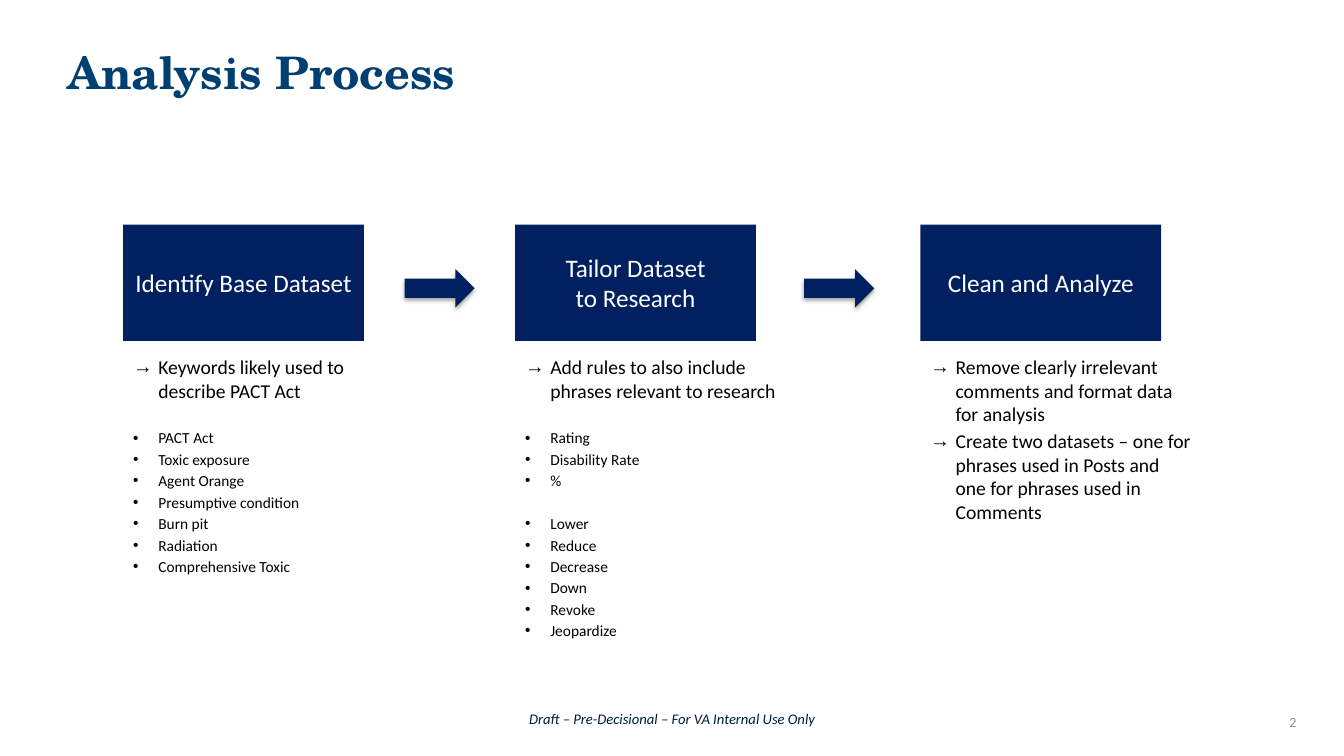
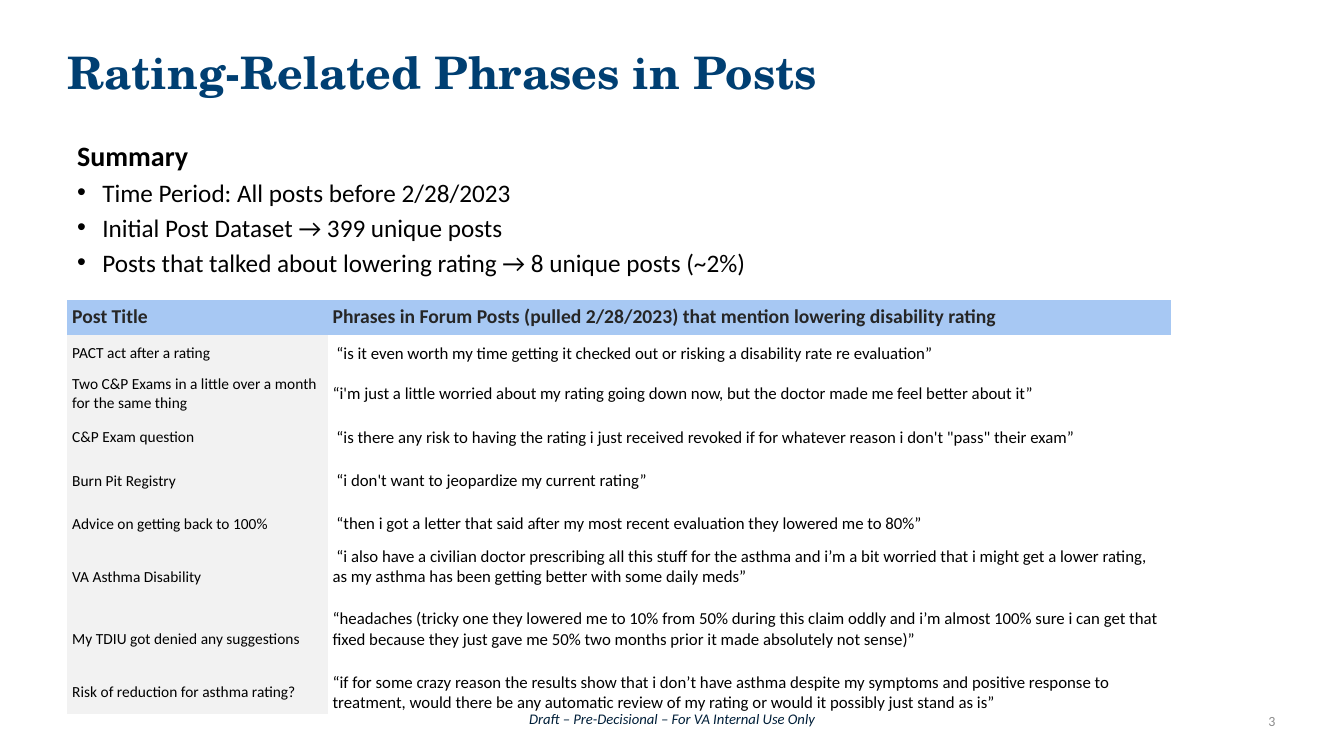
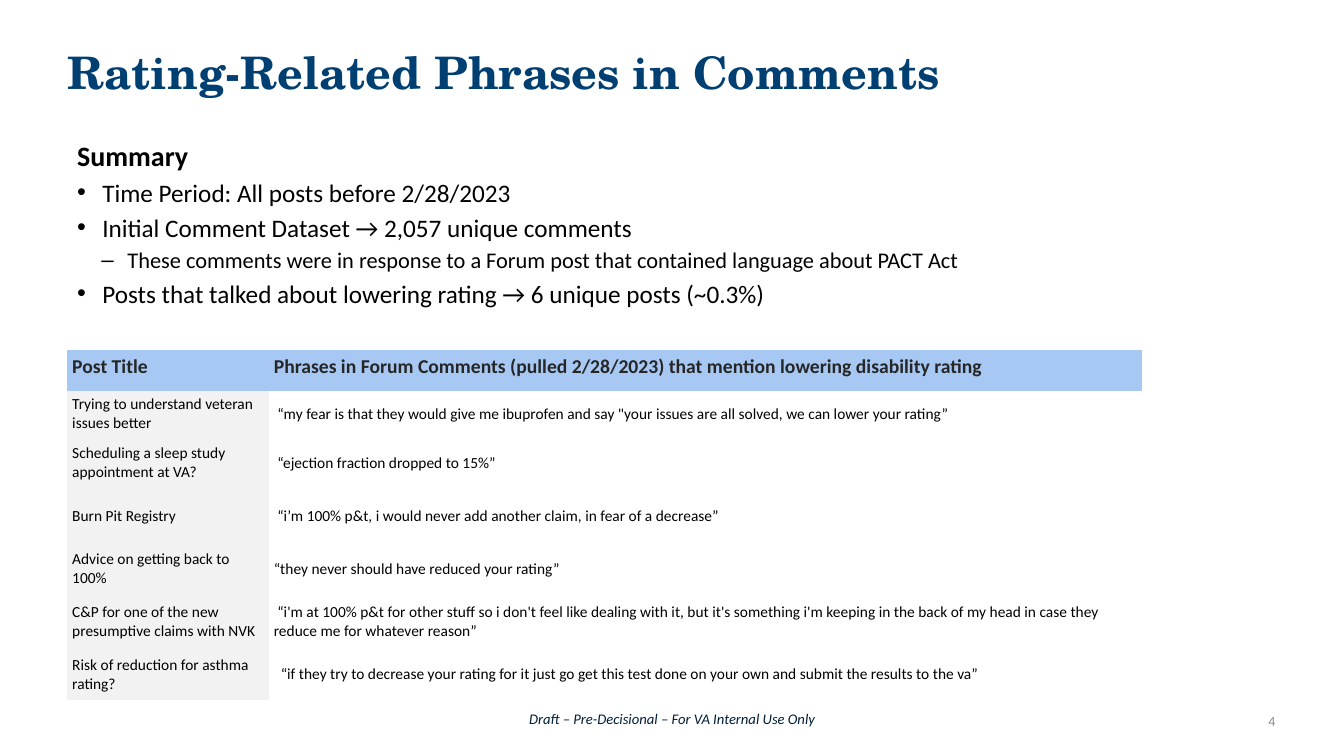
from dataclasses import dataclass

from lxml.etree import SubElement
from pptx import Presentation
from pptx.dml.color import RGBColor
from pptx.enum.shapes import MSO_SHAPE
from pptx.enum.text import MSO_ANCHOR, MSO_AUTO_SIZE, PP_ALIGN
from pptx.oxml.ns import qn
from pptx.util import Pt

COLORS = {
    "title": "003F72",
    "footer": "001F39",
    "number": "8C8C8C",
    "navy": "002060",
    "white": "FFFFFF",
    "black": "000000",
    "heading": "262626",
    "heading_fill": "A7C8F3",
    "label_fill": "F2F2F2",
}
BODY_FONT = "Calibri"
TITLE_FONT = "TeX Gyre Schola"
GAP_RATIO = 0.19
SPACE_RATIO = 0.226
MARGIN_LEFT = 48
CONTENT_WIDTH = 864
STEP_TOP, STEP_WIDTH, STEP_HEIGHT = 160.5, 172, 83
LIST_TOP, LIST_WIDTH = 250, 201


@dataclass(frozen=True)
class Box:
    left: float
    top: float
    width: float
    height: float

    def lengths(self) -> tuple:
        return Pt(self.left), Pt(self.top), Pt(self.width), Pt(self.height)


@dataclass(frozen=True)
class Style:
    size: float
    color: str = "black"
    bold: bool = False
    italic: bool = False
    font: str = BODY_FONT


@dataclass(frozen=True)
class Item:
    text: str
    size: float
    bullet: str = ""
    left: float = 18
    hanging: float = 18
    before: float | None = None
    bold: bool = False


@dataclass(frozen=True)
class Step:
    left: float
    lines: list[str]
    items: list[Item]
    list_height: float = 238


@dataclass(frozen=True)
class Quote:
    title: str
    text: str
    height: float
    lead: int = 0
    space_below: float = 0


@dataclass(frozen=True)
class QuoteTable:
    top: float
    columns: tuple[float, float]
    heading: str
    heading_height: float
    quote_size: float
    quotes: list[Quote]


def color(name: str) -> RGBColor:
    return RGBColor.from_string(COLORS[name])


def add_run(paragraph, text: str, style: Style) -> None:
    run = paragraph.add_run()
    run.text = text
    run.font.name = style.font
    run.font.size = Pt(style.size)
    run.font.bold = style.bold
    run.font.italic = style.italic
    run.font.color.rgb = color(style.color)


def set_margins(target, left: float, top: float, right: float, bottom: float) -> None:
    target.margin_left, target.margin_top = Pt(left), Pt(top)
    target.margin_right, target.margin_bottom = Pt(right), Pt(bottom)


def add_label(slide, box: Box, text: str, style: Style, alignment: PP_ALIGN, margin: float) -> None:
    frame = slide.shapes.add_textbox(*box.lengths()).text_frame
    frame.word_wrap = True
    frame.vertical_anchor = MSO_ANCHOR.MIDDLE
    set_margins(frame, margin, margin, margin, margin)
    frame.paragraphs[0].alignment = alignment
    add_run(frame.paragraphs[0], text, style)


def add_titled_slide(presentation, title: str, number: str, number_box: Box):
    slide = presentation.slides.add_slide(presentation.slide_layouts[5])
    shape = slide.shapes.title
    shape.left, shape.top, shape.width, shape.height = Box(MARGIN_LEFT, 10, CONTENT_WIDTH, 64).lengths()
    frame = shape.text_frame
    frame.auto_size = MSO_AUTO_SIZE.NONE
    frame.word_wrap = True
    frame.vertical_anchor = MSO_ANCHOR.BOTTOM
    set_margins(frame, 0, 3.6, 0, 3.6)
    frame.paragraphs[0].alignment = PP_ALIGN.LEFT
    add_run(frame.paragraphs[0], title, Style(32, "title", bold=True, font=TITLE_FONT))
    add_label(slide, Box(278.6, 502.6, 403.2, 20.9), "Draft – Pre-Decisional – For VA Internal Use Only",
              Style(10.5, "footer", italic=True), PP_ALIGN.CENTER, 4.3)
    add_label(slide, number_box, number, Style(10, "number"), PP_ALIGN.RIGHT, 0)
    return slide


def set_bullet(paragraph, item: Item) -> None:
    properties = paragraph._p.get_or_add_pPr()
    properties.set("marL", str(Pt(item.left)))
    properties.set("indent", str(-Pt(item.hanging)))
    SubElement(properties, qn("a:buFont")).set("typeface", "Arial")
    SubElement(properties, qn("a:buChar")).set("char", item.bullet)


def add_list(slide, box: Box, items: list[Item]) -> None:
    frame = slide.shapes.add_textbox(*box.lengths()).text_frame
    frame.word_wrap = True
    for index, item in enumerate(items):
        paragraph = frame.add_paragraph() if index else frame.paragraphs[0]
        if item.bullet:
            set_bullet(paragraph, item)
        if index:
            paragraph.space_before = Pt(round(item.size * GAP_RATIO, 1) if item.before is None else item.before)
        add_run(paragraph, item.text, Style(item.size, bold=item.bold))


def add_navy_shape(slide, kind: MSO_SHAPE, box: Box):
    shape = slide.shapes.add_shape(kind, *box.lengths())
    shape.shadow.inherit = False
    shape.fill.solid()
    shape.fill.fore_color.rgb = color("navy")
    shape.line.fill.background()
    return shape


def add_step(slide, step: Step) -> None:
    shape = add_navy_shape(slide, MSO_SHAPE.RECTANGLE, Box(step.left, STEP_TOP, STEP_WIDTH, STEP_HEIGHT))
    frame = shape.text_frame
    frame.word_wrap = True
    frame.vertical_anchor = MSO_ANCHOR.MIDDLE
    for index, line in enumerate(step.lines):
        paragraph = frame.add_paragraph() if index else frame.paragraphs[0]
        paragraph.alignment = PP_ALIGN.CENTER
        add_run(paragraph, line, Style(18, "white"))
    add_list(slide, Box(step.left, LIST_TOP, LIST_WIDTH, step.list_height), step.items)


def add_step_arrow(slide, left: float) -> None:
    arrow = add_navy_shape(slide, MSO_SHAPE.RIGHT_ARROW, Box(left, 192.2, 50, 27.5))
    effects = arrow.element.spPr.find(qn("a:effectLst"))
    shadow = SubElement(effects, qn("a:outerShdw"), blurRad=str(Pt(3.1)), dist=str(Pt(1.8)),
                        dir="5400000", rotWithShape="0")
    shade = SubElement(shadow, qn("a:srgbClr"), val=COLORS["black"])
    SubElement(shade, qn("a:alpha"), val="35000")


def fill_cell(cell, text: str, style: Style, fill: str):
    cell.fill.solid()
    cell.fill.fore_color.rgb = color(fill)
    paragraph = cell.text_frame.paragraphs[0]
    add_run(paragraph, text, style)
    return paragraph


def add_quote_table(slide, content: QuoteTable) -> None:
    heights = [content.heading_height] + [quote.height for quote in content.quotes]
    box = Box(MARGIN_LEFT, content.top, sum(content.columns), sum(heights))
    graphic_frame = slide.shapes.add_table(len(heights), 2, *box.lengths())
    table = graphic_frame.table
    table.first_row = table.horz_banding = False
    for style_id in graphic_frame.element.iter(qn("a:tableStyleId")):
        style_id.text = "{2D5ABB26-0587-4C30-8999-92F81FD0307C}"
    for column, width in zip(table.columns, content.columns):
        column.width = Pt(width)
    for row, height in zip(table.rows, heights):
        row.height = Pt(height)
    for cell, text in zip(table.rows[0].cells, ("Post Title", content.heading)):
        set_margins(cell, 3.6, 3.6, 3.6, 3.6)
        fill_cell(cell, text, Style(14, "heading", bold=True), "heading_fill")
    for row_index, quote in enumerate(content.quotes, start=1):
        title_cell, quote_cell = table.rows[row_index].cells
        for cell, below in ((title_cell, 0), (quote_cell, quote.space_below)):
            set_margins(cell, 3.6, 0.72, 3.6, below)
            cell.vertical_anchor = MSO_ANCHOR.MIDDLE
        fill_cell(title_cell, quote.title, Style(11), "label_fill")
        paragraph = fill_cell(quote_cell, quote.text, Style(content.quote_size), "white")
        if quote.lead:
            properties = paragraph._p.get_or_add_pPr()
            properties.set("marL", "0")
            properties.set("indent", str(Pt(quote.lead * SPACE_RATIO * content.quote_size)))


def arrow_item(text: str) -> Item:
    return Item(text, 14, "→")


def keyword_items(words: list[str], before: float) -> list[Item]:
    return [Item(word, 11, "•", before=None if index else before) for index, word in enumerate(words)]


def summary_item(text: str) -> Item:
    return Item(text, 18, "•")


SUMMARY_START = [Item("Summary", 20, bold=True), summary_item("Time Period: All posts before 2/28/2023")]

STEPS = [
    Step(88, ["Identify Base Dataset"], [
        arrow_item("Keywords likely used to describe PACT Act"),
        *keyword_items(["PACT Act", "Toxic exposure", "Agent Orange", "Presumptive condition",
                        "Burn pit", "Radiation", "Comprehensive Toxic"], 19),
    ]),
    Step(368, ["Tailor Dataset", "to Research"], [
        arrow_item("Add rules to also include phrases relevant to research"),
        *keyword_items(["Rating", "Disability Rate", "%"], 19),
        *keyword_items(["Lower", "Reduce", "Decrease", "Down", "Revoke", "Jeopardize"], 17.4),
    ]),
    Step(657.5, ["Clean and Analyze"], [
        arrow_item("Remove clearly irrelevant comments and format data for analysis"),
        arrow_item("Create two datasets – one for phrases used in Posts and one for phrases used in Comments"),
    ], 124.5),
]

POST_SUMMARY = SUMMARY_START + [
    summary_item("Initial Post Dataset → 399 unique posts"),
    summary_item("Posts that talked about lowering rating → 8 unique posts (~2%)"),
]
POST_TABLE = QuoteTable(
    214.5, (186, 602.6),
    "Phrases in Forum Posts (pulled 2/28/2023) that mention lowering disability rating", 24.5, 12,
    [
        Quote("PACT act after a rating",
              "“is it even worth my time getting it checked out or risking a disability rate re evaluation”",
              26.6, 1),
        Quote("Two C&P Exams in a little over a month for the same thing",
              "“i'm just a little worried about my rating going down now, but the doctor made me feel better "
              "about it”", 31),
        Quote("C&P Exam question",
              "“is there any risk to having the rating i just received revoked if for whatever reason "
              "i don't \"pass\" their exam”", 31, 1),
        Quote("Burn Pit Registry", "“i don't want to jeopardize my current rating”", 31, 1),
        Quote("Advice on getting back to 100%",
              "“then i got a letter that said after my most recent evaluation they lowered me to 80%”", 31, 1),
        Quote("VA Asthma Disability",
              "“i also have a civilian doctor prescribing all this stuff for the asthma and i’m a bit worried "
              "that i might get a lower rating, as my asthma has been getting better with some daily meds”",
              44.7, 1, 14.6),
        Quote("My TDIU got denied any suggestions",
              "“headaches (tricky one they lowered me to 10% from 50% during this claim oddly and i’m almost "
              "100% sure i can get that fixed because they just gave me 50% two months prior it made "
              "absolutely not sense)”", 44.7, 0, 14.6),
        Quote("Risk of reduction for asthma rating?",
              "“if for some crazy reason the results show that i don’t have asthma despite my symptoms and "
              "positive response to treatment, would there be any automatic review of my rating or would it "
              "possibly just stand as is”", 31),
    ],
)

COMMENT_SUMMARY = SUMMARY_START + [
    summary_item("Initial Comment Dataset → 2,057 unique comments"),
    Item("These comments were in response to a Forum post that contained language about PACT Act",
         16, "–", 36, 18.7),
    summary_item("Posts that talked about lowering rating → 6 unique posts (~0.3%)"),
]
COMMENT_TABLE = QuoteTable(
    250, (144, 623.5),
    "Phrases in Forum Comments (pulled 2/28/2023) that mention lowering disability rating", 29, 11,
    [
        Quote("Trying to understand veteran issues better",
              "“my fear is that they would give me ibuprofen and say \"your issues are all solved, we can "
              "lower your rating”", 32.4, 1),
        Quote("Scheduling a sleep study appointment at VA?", "“ejection fraction dropped to 15%”", 37.8, 1),
        Quote("Burn Pit Registry",
              "“i’m 100% p&t, i would never add another claim, in fear of a decrease”", 37.8, 1),
        Quote("Advice on getting back to 100%", "“they never should have reduced your rating”", 37.8),
        Quote("C&P for one of the new presumptive claims with NVK",
              "“i'm at 100% p&t for other stuff so i don't feel like dealing with it, but it's something "
              "i'm keeping in the back of my head in case they reduce me for whatever reason”", 37.8, 1),
        Quote("Risk of reduction for asthma rating?",
              "“if they try to decrease your rating for it just go get this test done on your own and submit "
              "the results to the va”", 37.8, 2),
    ],
)


def main() -> None:
    presentation = Presentation()
    presentation.slide_width, presentation.slide_height = Pt(960), Pt(540)

    process_slide = add_titled_slide(presentation, "Analysis Process", "2", Box(900, 501, 26, 29))
    for step in STEPS:
        add_step(process_slide, step)
    for left in (289, 574.5):
        add_step_arrow(process_slide, left)

    for title, number, summary, summary_height, quote_table in (
        ("Rating-Related Phrases in Posts", "3", POST_SUMMARY, 109.5, POST_TABLE),
        ("Rating-Related Phrases in Comments", "4", COMMENT_SUMMARY, 132, COMMENT_TABLE),
    ):
        slide = add_titled_slide(presentation, title, number, Box(885, 500.5, 26, 29))
        add_quote_table(slide, quote_table)
        add_list(slide, Box(MARGIN_LEFT, 95.5, CONTENT_WIDTH, summary_height), summary)

    presentation.save("out.pptx")


if __name__ == "__main__":
    main()
